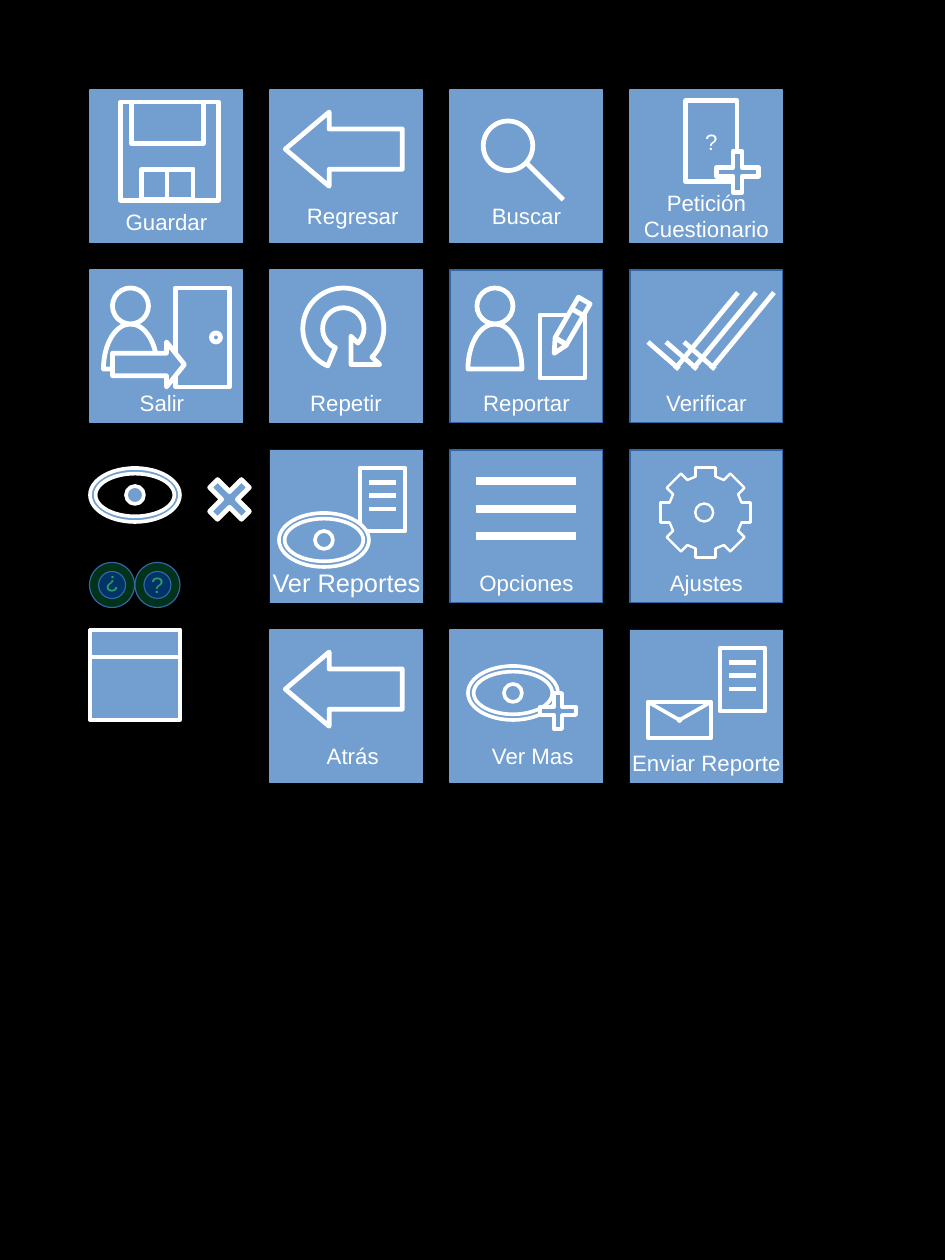
from math import cos, radians, sin, tan

from lxml.etree import SubElement
from pptx import Presentation
from pptx.dml.color import RGBColor
from pptx.enum.shapes import MSO_CONNECTOR, MSO_SHAPE
from pptx.enum.text import MSO_ANCHOR, PP_ALIGN
from pptx.oxml.ns import qn
from pptx.util import Mm, Pt

COLS, ROWS, UNIT = 105, 140, Mm(2)
MARGIN, PITCH, TILE = 10, 20, 17
BLUE, EDGE, WHITE, BLACK = "729FCF", "3465A4", "FFFFFF", "000000"
GREEN, NAVY, MINT = "00331A", "003366", "339966"
THICK, MEDIUM, THIN = 3, 2.3, 1.5
KINDS = {
    "rect": MSO_SHAPE.RECTANGLE, "oval": MSO_SHAPE.OVAL, "donut": MSO_SHAPE.DONUT,
    "plus": MSO_SHAPE.CROSS, "left": MSO_SHAPE.LEFT_ARROW,
    "right": MSO_SHAPE.RIGHT_ARROW, "triangle": MSO_SHAPE.ISOSCELES_TRIANGLE,
}


def on_oval(cx, cy, rx, ry, angle):
    return cx + rx * cos(radians(angle)), cy + ry * sin(radians(angle))


def curves(cx, cy, rx, ry, *angles):
    result = []
    for start, end in zip(angles, angles[1:]):
        k = 4 / 3 * tan(radians(end - start) / 4)
        a, b = radians(start), radians(end)
        result.append([
            (cx + rx * (cos(a) - k * sin(a)), cy + ry * (sin(a) + k * cos(a))),
            (cx + rx * (cos(b) + k * sin(b)), cy + ry * (sin(b) - k * cos(b))),
            on_oval(cx, cy, rx, ry, end)])
    return result


def eye(x, y):
    return [("donut", x, y, 10, 6, {"adj": [0.105], "width": MEDIUM}),
            ("oval", x + 4, y + 2, 2, 2, {"width": MEDIUM})]


def person(x):
    body = curves(x, 11, 3, 5, 180, 270, 360) + [[(x, 11)]]
    return [("outline", (x - 3, 11), body), ("oval", x - 2, 2, 4, 4)]


def gear(cx, cy, r):
    teeth = [[on_oval(cx, cy, r, r, a + d) for d in (15, 30)] for a in range(0, 360, 45)]
    return [("plus", cx - 5, cy - 5, 10, 10, {"adj": [0.388], "width": THIN, "rot": a})
            for a in (45, 0)] + [
        ("oval", cx - 4, cy - 4, 8, 8, {"line": BLUE, "width": 0})] + [
        ("line", *a, *b, {"width": THIN}) for a, b in teeth] + [
        ("oval", cx - 1.15, cy - 1, 2, 2, {"width": THIN})]


def coin(x, rot):
    return [("oval", x, 12.5, 5, 5, {"fill": GREEN, "line": EDGE, "width": 0}),
            ("oval", x + 1, 13.5, 3, 3, {"fill": NAVY, "line": EDGE, "width": 0,
                                         "text": "?", "color": MINT, "rot": rot})]


BACK = [("left", 1.7, 2.45, 13, 8.25, {"adj": [0.542, 0.592]})]
REPORT = [("rect", 10, 2, 5, 7)] + [("line", 11, y, 14, y) for y in (3.6, 5.05, 6.55)]
FLOPPY = [("rect", 3.4, 1.35, 10.9, 10.9), ("rect", 4.6, 1.35, 8, 4.6),
          ("rect", 5.75, 8.8, 5.7, 3.4), ("rect", 8.55, 8.8, 2.9, 3.4)]
LENS = [("oval", 3.7, 3.45, 5.5, 5.5), ("line", 8.55, 8.15, 12.6, 12.2)]
QUESTION = [("rect", 6.2, 1.2, 5.7, 9, {"text": "?"}),
            ("plus", 9.65, 6.8, 4.6, 4.6, {"adj": [0.393]})]
EXIT = person(4.5) + [("rect", 9.5, 2, 6, 11),
                      ("right", 2.5, 8, 8, 5, {"adj": [0.5, 0.4]}),
                      ("oval", 13.5, 7, 1, 1)]
HUB = (8.15, 6.5)
REPEAT = [("outline", on_oval(*HUB, 2.3, 2.3, 405),
           curves(*HUB, 2.3, 2.3, 405, 360, 270, 180, 112.5)
           + [[on_oval(*HUB, 4.5, 4.5, 112.5)]]
           + curves(*HUB, 4.5, 4.5, 112.5, 180, 270, 360, 405)
           + [[(12.2, 10.5)], [(9, 10.5)], [(9, 7.35)]])]
PENCIL = person(5) + [("rect", 10, 5, 5, 7), ("rect", 13.8, 3.3, 1.5, 1.5, {"rot": 30}),
                      ("rect", 12.5, 4.45, 1.5, 3.7, {"rot": 30}),
                      ("triangle", 11.2, 7.85, 1.5, 1.5, {"rot": 210})]
CHECKS = [part for x in (2, 4, 6) for part in (
    ("line", x, 8, x + 3.45, 11), ("line", x + 10, 2.5, x + 3, 11))]
MENU = [("oval", 4.35, 3, 8, 8, {"line": BLUE, "width": 0})] + [
    ("rect", 3, y, 11, 0.8, {"fill": WHITE, "line": WHITE, "width": 0})
    for y in (3.05, 6.2, 9.2)]
SEE_MORE = eye(2, 4) + [("plus", 10, 7, 4, 4, {"adj": [0.387], "width": MEDIUM})]
SEND = REPORT + [("rect", 2, 8, 7, 4), ("line", 2, 8, 5.5, 10, {"width": MEDIUM}),
                 ("line", 5.5, 10, 9, 8, {"width": MEDIUM}),
                 ("oval", 5.25, 9.75, 0.5, 0.5, {"fill": WHITE, "width": 0})]

TILES = [
    (0, 0, "Guardar", 1, 12.9, 14, BLUE, FLOPPY),
    (1, 0, "Regresar", 1.7, 12.25, 14, BLUE, BACK),
    (2, 0, "Buscar", 1, 12.25, 14, BLUE, LENS),
    (3, 0, "Petición\nCuestionario", 1, 12.25, 14, BLUE, QUESTION),
    (0, 1, "Salir", 0.5, 13, 14, BLUE, EXIT),
    (1, 1, "Repetir", 0.95, 13, 14, BLUE, REPEAT),
    (2, 1, "Reportar", 1, 13, 14, EDGE, PENCIL),
    (3, 1, "Verificar", 1, 13, 14, EDGE, CHECKS),
    (1, 2, "Ver Reportes", 1, 13, 16, None, REPORT + eye(1, 7)),
    (2, 2, "Opciones", 1, 13, 14, EDGE, MENU),
    (3, 2, "Ajustes", 1, 13, 14, EDGE, gear(8.4, 6.95, 4.15)),
    (1, 3, "Atrás", 1.7, 12.3, 14, BLUE, BACK),
    (2, 3, "Ver Mas", 1.7, 12.3, 14, BLUE, SEE_MORE),
    (3, 3, "Enviar Reporte", 1, 13, 14, None, SEND),
]
LOOSE_ICONS = [
    (0, 2, eye(0, 2)),
    (0, 2, [("plus", 13, 3, 5, 5, {"adj": [0.376], "rot": 45})]),
    (0, 2, coin(5, 0) + coin(-0.05, 180)),
    (0, 3, [("rect", 0, 0, 10, h, {"width": MEDIUM}) for h in (10, 3)]),
]


def rgb(value):
    return RGBColor.from_string(value)


def u(value):
    return round(value * UNIT)


def write(sp, text, size, color):
    tf = sp.text_frame
    tf.text = text
    tf.word_wrap = False
    tf.vertical_anchor = MSO_ANCHOR.MIDDLE
    for p in tf.paragraphs:
        p.alignment = PP_ALIGN.CENTER
        for r in p.runs:
            r.font.name, r.font.size = "Arial", Pt(size)
            r.font.color.rgb = rgb(color)


def add_outline(shapes, ox, oy, start, segments):
    points = [(u(ox + x), u(oy + y)) for x, y in [start] + sum(segments, [])]
    builder = shapes.build_freeform(*points[0])
    builder.add_line_segments(points[1:], close=True)
    sp = builder.convert_to_shape()
    steps = iter(list(sp._element.iter(qn("a:lnTo"))))
    for segment in segments:
        first, *rest = [next(steps) for _ in segment]
        if rest:
            first.tag = qn("a:cubicBezTo")
        for step in rest:
            first.append(step[0])
            step.getparent().remove(step)
    return sp


def draw(shapes, ox, oy, kind, *values):
    opts = values[-1] if isinstance(values[-1], dict) else {}
    nums = values[:-1] if opts else values
    if kind == "line":
        x1, y1, x2, y2 = nums
        sp = shapes.add_connector(MSO_CONNECTOR.STRAIGHT, u(ox + x1), u(oy + y1),
                                  u(ox + x2), u(oy + y2))
        SubElement(sp._element.spPr, qn("a:effectLst"))
    else:
        if kind == "outline":
            sp = add_outline(shapes, ox, oy, *nums)
        else:
            x, y, w, h = nums
            sp = shapes.add_shape(KINDS[kind], u(ox + x), u(oy + y), u(w), u(h))
        sp.shadow.inherit = False
        sp.fill.solid()
        sp.fill.fore_color.rgb = rgb(opts.get("fill", BLUE))
        sp.rotation = opts.get("rot", 0)
        for i, value in enumerate(opts.get("adj", [])):
            sp.adjustments[i] = value
        if "text" in opts:
            write(sp, opts["text"], opts.get("size", 14), opts.get("color", WHITE))
    line = opts.get("line", WHITE)
    if line is None:
        sp.line.fill.background()
    else:
        sp.line.color.rgb = rgb(line)
        sp.line.width = Pt(opts.get("width", THICK))


def draw_icon(s, col, row, parts):
    shapes = s.shapes.add_group_shape().shapes if len(parts) > 1 else s.shapes
    for part in parts:
        draw(shapes, MARGIN + PITCH * col, MARGIN + PITCH * row, *part)


def main():
    prs = Presentation()
    prs.slide_width, prs.slide_height = u(COLS), u(ROWS)
    s = prs.slides.add_slide(prs.slide_layouts[6])
    s.background.fill.solid()
    s.background.fill.fore_color.rgb = rgb(BLACK)
    for col, row, label, x, y, size, border, icon in TILES:
        base = [("rect", 0, 0, TILE, TILE, {"line": border, "width": 0}),
                ("rect", x, y, 15, 3.4, {"line": border and BLUE, "width": 0,
                                         "text": label, "size": size})]
        draw_icon(s, col, row, base + icon)
    for col, row, icon in LOOSE_ICONS:
        draw_icon(s, col, row, icon)
    prs.save("out.pptx")


if __name__ == "__main__":
    main()
